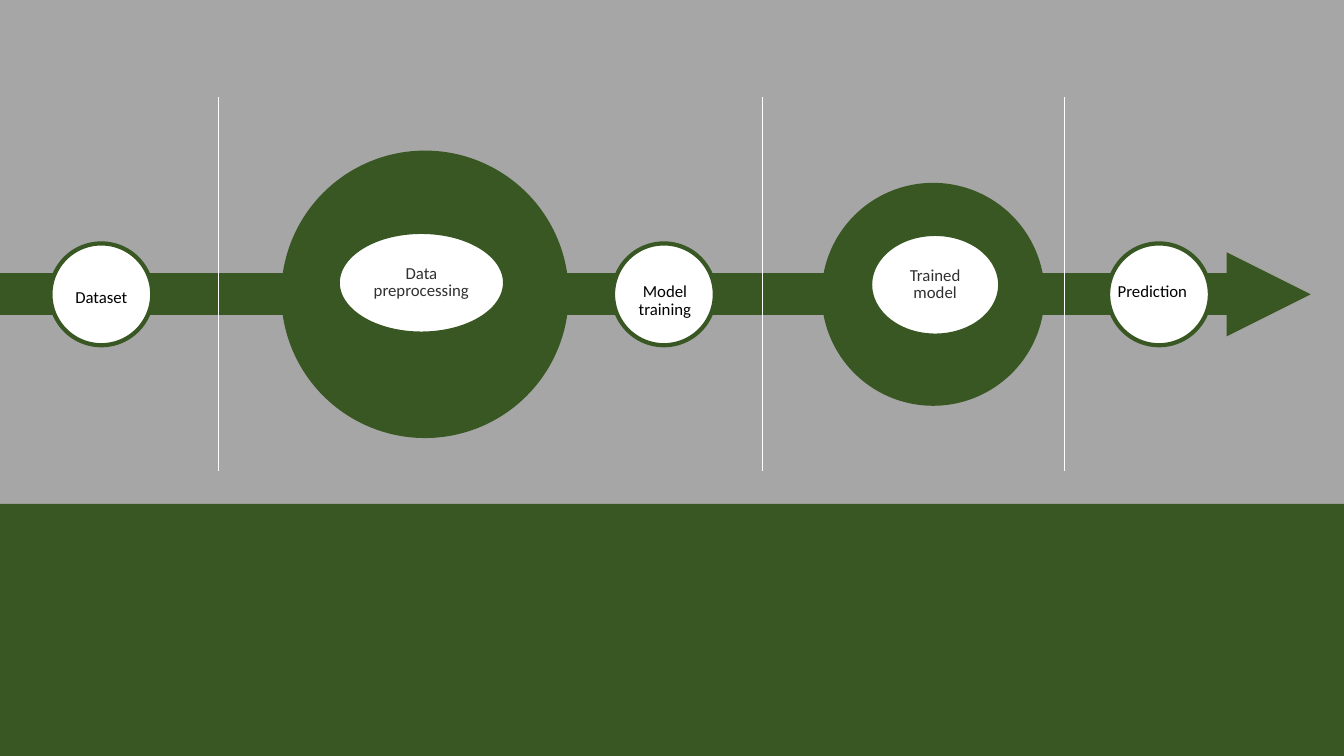
from dataclasses import dataclass

from lxml.etree import SubElement
from pptx import Presentation
from pptx.dml.color import RGBColor
from pptx.enum.shapes import MSO_CONNECTOR as Connector, MSO_SHAPE as Preset
from pptx.enum.text import MSO_ANCHOR as Anchor, PP_ALIGN as Align
from pptx.oxml.ns import qn
from pptx.shapes.autoshape import Shape
from pptx.shapes.connector import Connector as Line
from pptx.slide import Slide
from pptx.util import Inches, Pt

GREY, GREEN, WHITE = "A6A6A6", "385723", "FFFFFF"
BLACK, CHARCOAL = "000000", "303030"
FONT = "Calibri"
SLIDE_WIDTH, SLIDE_HEIGHT = 13.33, 7.5
BAND_TOP = 5
AXIS_Y = 2.92
AXIS_END = 13
DIVIDER_TOP, DIVIDER_BOTTOM = 0.96, 4.67
DIVIDERS = (2.17, 7.56, 10.56)
STEP_SIZE = 1.01


@dataclass
class Step:
    text: str
    left: float
    label_left: float
    label_top: float
    label_width: float
    label_height: float


@dataclass
class Stage:
    text: str
    disc_left: float
    disc_size: float
    left: float
    top: float
    width: float


STAGES = (
    Stage("Data preprocessing", 2.81, 2.81, 3.35, 2.3, 1.66),
    Stage("Trained model", 8.17, 2.17, 8.63, 2.32, 1.29),
)
STEPS = (
    Step("Dataset", 0.5, 0.63, 2.82, 0.75, 0.18),
    Step("Model training", 6.08, 6.22, 2.76, 0.75, 0.25),
    Step("Prediction", 10.99, 10.86, 2.76, 1.14, 0.25),
)


def color(value: str) -> RGBColor:
    return RGBColor.from_string(value)


def add_area(slide: Slide, preset: Preset, left: float, top: float,
             width: float, height: float, fill: str, outline: str = "") -> Shape:
    shape = slide.shapes.add_shape(
        preset, Inches(left), Inches(top), Inches(width), Inches(height))
    shape.shadow.inherit = False
    shape.fill.solid()
    shape.fill.fore_color.rgb = color(fill)
    if outline:
        shape.line.color.rgb = color(outline)
        shape.line.width = Pt(3)
    else:
        shape.line.fill.background()
    return shape


def add_circle(slide: Slide, left: float, size: float, fill: str) -> Shape:
    return add_area(slide, Preset.OVAL, left, AXIS_Y - size / 2, size, size, fill, GREEN)


def add_line(slide: Slide, start: tuple[float, float], end: tuple[float, float],
             line_color: str, width: float) -> Line:
    connector = slide.shapes.add_connector(
        Connector.STRAIGHT, *(Inches(value) for value in start + end))
    connector.line.color.rgb = color(line_color)
    connector.line.width = Pt(width)
    SubElement(connector._element.spPr, qn("a:effectLst"))
    return connector


def write(shape: Shape, text: str, font_color: str, line_spacing: float) -> None:
    frame = shape.text_frame
    frame.word_wrap = True
    frame.text = text
    paragraph = frame.paragraphs[0]
    paragraph.alignment = Align.CENTER
    paragraph.line_spacing = line_spacing
    font = paragraph.runs[0].font
    font.name = FONT
    font.size = Pt(12)
    font.color.rgb = color(font_color)


def add_stage(slide: Slide, stage: Stage) -> None:
    oval = add_area(slide, Preset.OVAL, stage.left, stage.top,
                    stage.width, STEP_SIZE, WHITE, GREEN)
    frame = oval.text_frame
    frame.margin_left = frame.margin_right = frame.margin_top = frame.margin_bottom = 0
    frame.vertical_anchor = Anchor.MIDDLE
    write(oval, stage.text, CHARCOAL, 0.85)


def add_step(slide: Slide, step: Step) -> None:
    add_circle(slide, step.left, STEP_SIZE, WHITE)
    label = slide.shapes.add_textbox(
        Inches(step.label_left), Inches(step.label_top),
        Inches(step.label_width), Inches(step.label_height))
    label.text_frame.vertical_anchor = Anchor.TOP
    write(label, step.text, BLACK, 0.9)
    label.text_frame.paragraphs[0].space_before = Pt(10)


def main() -> None:
    presentation = Presentation()
    presentation.slide_width = Inches(SLIDE_WIDTH)
    presentation.slide_height = Inches(SLIDE_HEIGHT)
    slide = presentation.slides.add_slide(presentation.slide_layouts[6])

    add_area(slide, Preset.RECTANGLE, 0, 0, SLIDE_WIDTH, SLIDE_HEIGHT, GREY)
    add_area(slide, Preset.RECTANGLE, 0, BAND_TOP, SLIDE_WIDTH,
             SLIDE_HEIGHT - BAND_TOP, GREEN)
    axis = add_line(slide, (0, AXIS_Y), (AXIS_END, AXIS_Y), GREEN, 30)
    SubElement(axis.line._get_or_add_ln(), qn("a:tailEnd"), type="triangle",
               w="sm", len="sm")
    for stage in STAGES:
        add_circle(slide, stage.disc_left, stage.disc_size, GREEN)
    for x in DIVIDERS:
        add_line(slide, (x, DIVIDER_TOP), (x, DIVIDER_BOTTOM), WHITE, 1)
    for stage in STAGES:
        add_stage(slide, stage)
    for step in STEPS:
        add_step(slide, step)

    presentation.save("out.pptx")


if __name__ == "__main__":
    main()
